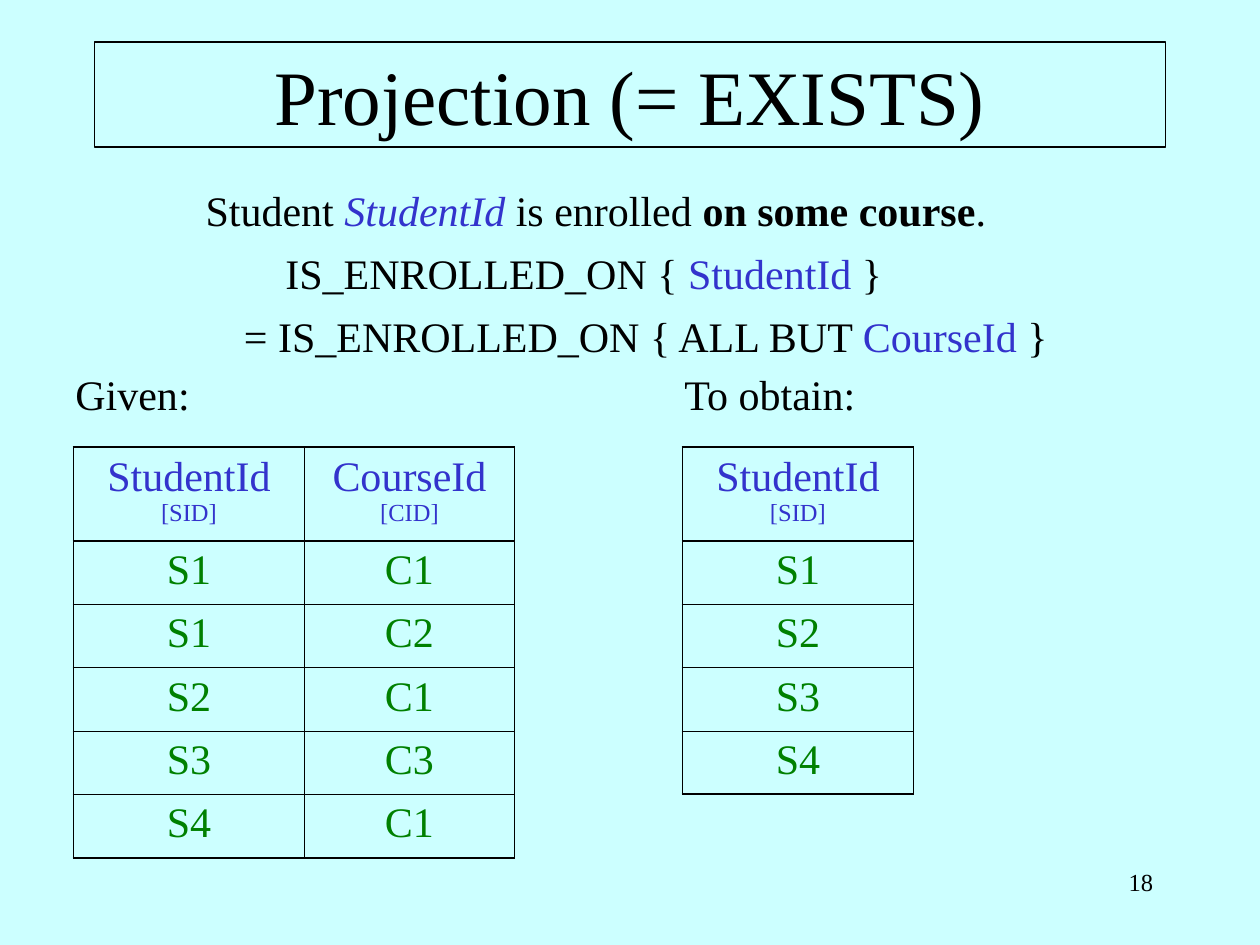
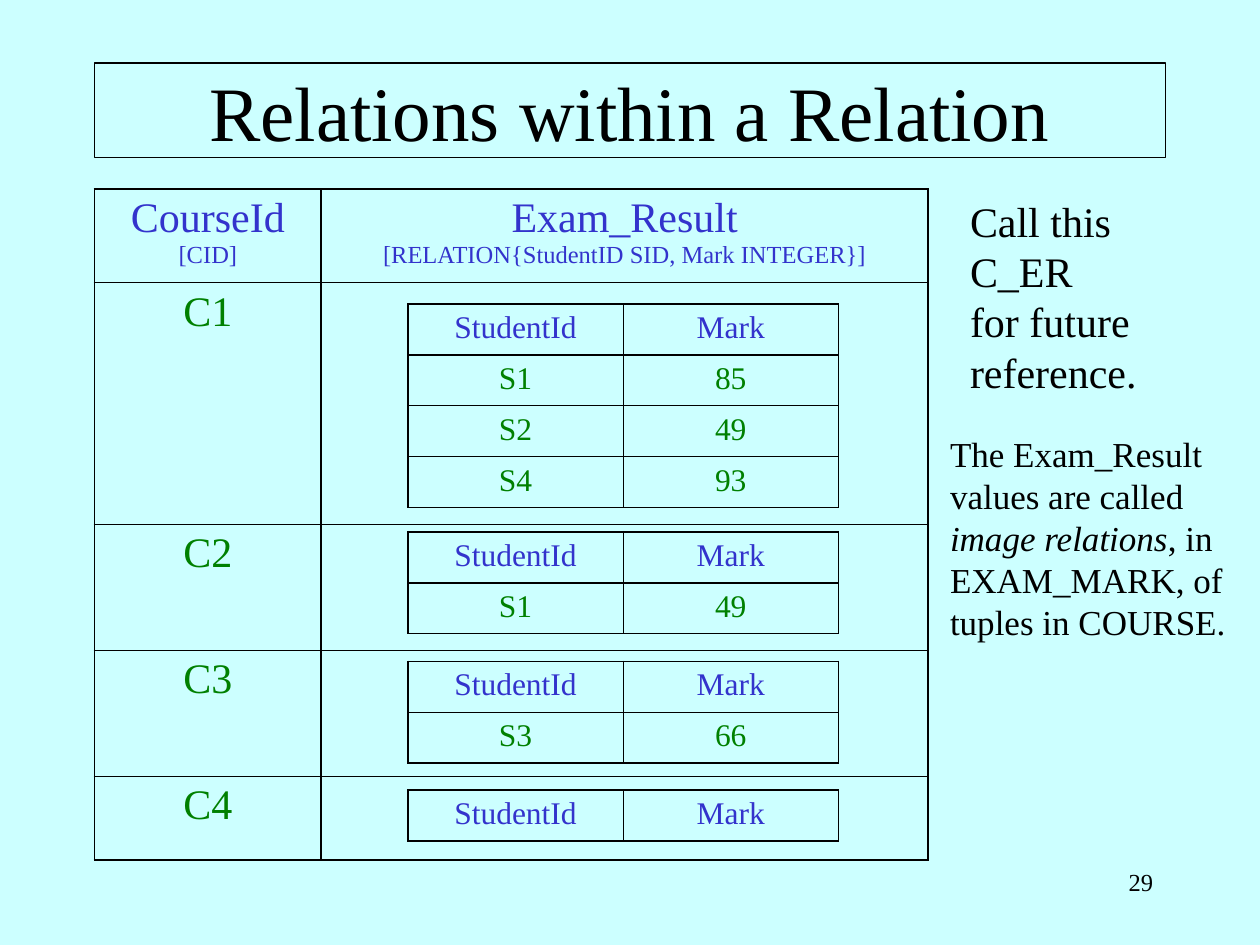
from lxml.etree import SubElement
from pptx import Presentation
from pptx.dml.color import RGBColor
from pptx.enum.text import MSO_ANCHOR, MSO_AUTO_SIZE, PP_ALIGN
from pptx.oxml.ns import qn
from pptx.util import Inches, Pt

COLORS = {"back": "CCFFFF", "ink": "000000", "attribute": "3333CC", "value": "008000"}
FONT = "Times New Roman"
COLS, ROWS = 120, 90  # grid over the whole slide
WIDTH, HEIGHT = Inches(10), Inches(7.5)
THICK, THIN = Pt(1.08), Pt(0.45)
HEAD_ROW = 8.9
ATTRIBUTE = {"color": "attribute"}


def x(cols):
    return round(WIDTH * cols / COLS)


def y(rows):
    return round(HEIGHT * rows / ROWS)


def box(left, top, width, height):
    return x(left), y(top), x(width), y(height)


def rgb(name):
    return RGBColor.from_string(COLORS[name])


# Text
def add_run(p, text, size=24, color="ink", bold=False, italic=False):
    r = p.add_run()
    r.text = text
    r.font.name = FONT
    r.font.size = Pt(size)
    r.font.color.rgb = rgb(color)
    r.font.bold = bold
    r.font.italic = italic


def put_text(tf, *parts, align=PP_ALIGN.LEFT, **fmt):
    """Write parts, each a string or (string, format); "\n" breaks the line."""
    p = tf.paragraphs[0]
    p.alignment = align
    for part in parts:
        text, own = (part, {}) if isinstance(part, str) else part
        if text == "\n":
            p.add_line_break()
        else:
            add_run(p, text, **{**fmt, **own})


def add_text(s, place, *parts, wrap=False, **fmt):
    tf = s.shapes.add_textbox(*box(*place)).text_frame
    tf.word_wrap = wrap
    put_text(tf, *parts, **fmt)


# Tables
def set_borders(cell, **widths):
    tcPr = cell._tc.get_or_add_tcPr()
    for side in "LRTB":
        ln = SubElement(tcPr, qn(f"a:ln{side}"), w=str(widths[side]))
        fill = SubElement(ln, qn("a:solidFill"))
        SubElement(fill, qn("a:srgbClr"), val=COLORS["ink"])


def add_relation(s, left, top, widths, heights, heading, tuples, size=24, divider=THICK):
    """Draw a relation; a heading item is (name,) or (name, type)."""
    n_rows, n_cols = len(heights), len(widths)
    place = box(left, top, sum(widths), sum(heights))
    table = s.shapes.add_table(n_rows, n_cols, *place).table
    table.first_row = table.horz_banding = False
    for column, width in zip(table.columns, widths):
        column.width = x(width)
    for row, height in zip(table.rows, heights):
        row.height = y(height)
    for i, items in enumerate([heading, *tuples]):
        for j, item in enumerate(items):
            cell = table.cell(i, j)
            set_borders(
                cell,
                L=THICK if j == 0 else divider,
                R=THICK if j == n_cols - 1 else divider,
                T=THICK if i < 2 else THIN,
                B=THICK if i in (0, n_rows - 1) else THIN,
            )
            cell.fill.background()
            if i == 0:
                name, *kinds = item
                parts = [name]
                for kind in kinds:
                    parts += ["\n", (kind, {"size": 14})]
            else:
                parts = [item] if item else []
            put_text(cell.text_frame, *parts, align=PP_ALIGN.CENTER, size=size,
                     color="value" if i else "attribute")


def add_marks(s, top, *tuples):
    heights = [4.85] * (len(tuples) + 1)
    add_relation(s, 38.85, top, [20.5] * 2, heights, [("StudentId",), ("Mark",)],
                 tuples, size=18, divider=THIN)


# Shared slide frame
def new_slide(prs, title, number, top, height):
    s = prs.slides.add_slide(prs.slide_layouts[5])
    sp = s.shapes.title
    sp.left, sp.top, sp.width, sp.height = box(9, top, 102, height)
    sp.line.color.rgb = rgb("ink")
    sp.line.width = Pt(0.75)
    tf = sp.text_frame
    tf.auto_size = MSO_AUTO_SIZE.NONE
    tf.vertical_anchor = MSO_ANCHOR.MIDDLE
    put_text(tf, title, align=PP_ALIGN.CENTER, size=44)
    add_text(s, (86, 82, 25, 6), str(number), wrap=True, align=PP_ALIGN.RIGHT, size=14)
    return s


def projection_slide(prs):
    s = new_slide(prs, "Projection (= EXISTS)", 18, top=4, height=10)

    # Predicate and expressions
    add_text(s, (18.4, 17, 77.5, 6), "Student ",
             ("StudentId", {"color": "attribute", "italic": True}),
             " is enrolled ", ("on some course", {"bold": True}), ".")
    add_text(s, (26, 23, 60, 6), "IS_ENROLLED_ON { ", ("StudentId", ATTRIBUTE), " }")
    add_text(s, (22.05, 29, 80, 6), "= IS_ENROLLED_ON { ALL BUT ",
             ("CourseId", ATTRIBUTE), " }")

    # Given and obtained relations
    student, course = ("StudentId", "[SID]"), ("CourseId", "[CID]")
    enrolled = [("S1", "C1"), ("S1", "C2"), ("S2", "C1"), ("S3", "C3"), ("S4", "C1")]
    students = [(sid,) for sid in sorted({sid for sid, _ in enrolled})]
    add_text(s, (6, 34.55, 15, 6), "Given:")
    add_text(s, (64, 34.55, 20, 6), "To obtain:")
    for left, widths, heading, tuples in [
        (7, [22, 20], [student, course], enrolled),
        (65, [22], [student], students),
    ]:
        heights = [HEAD_ROW] + [6.04] * len(tuples)
        add_relation(s, left, 42.6, widths, heights, heading, tuples)


def nested_slide(prs):
    s = new_slide(prs, "Relations within a Relation", 29, top=6, height=9)

    # Outer relation, then the relation inside each of its tuples
    heading = [("CourseId", "[CID]"),
               ("Exam_Result", "[RELATION{StudentID SID, Mark INTEGER}]")]
    courses = [(cid, "") for cid in ("C1", "C2", "C3", "C4")]
    add_relation(s, 9, 18, [21.6, 57.8], [HEAD_ROW, 23, 12, 12, 8], heading, courses)
    add_marks(s, 28.95, ("S1", "85"), ("S2", "49"), ("S4", "93"))
    add_marks(s, 50.65, ("S1", "49"))
    add_marks(s, 63, ("S3", "66"))
    add_marks(s, 75.25)

    # Side notes
    add_text(s, (91.2, 18, 26, 20.4), "Call this C_ER", "\n", "for future reference.",
             wrap=True)
    add_text(s, (89.3, 40.6, 33.1, 21.2), "The Exam_Result values are called ",
             ("image relations", {"italic": True}),
             ", in EXAM_MARK, of tuples in COURSE.", wrap=True, size=20)


def main():
    prs = Presentation()
    prs.slide_width, prs.slide_height = WIDTH, HEIGHT
    fill = prs.slide_master.background.fill
    fill.solid()
    fill.fore_color.rgb = rgb("back")
    projection_slide(prs)
    nested_slide(prs)
    prs.save("out.pptx")


if __name__ == "__main__":
    main()
